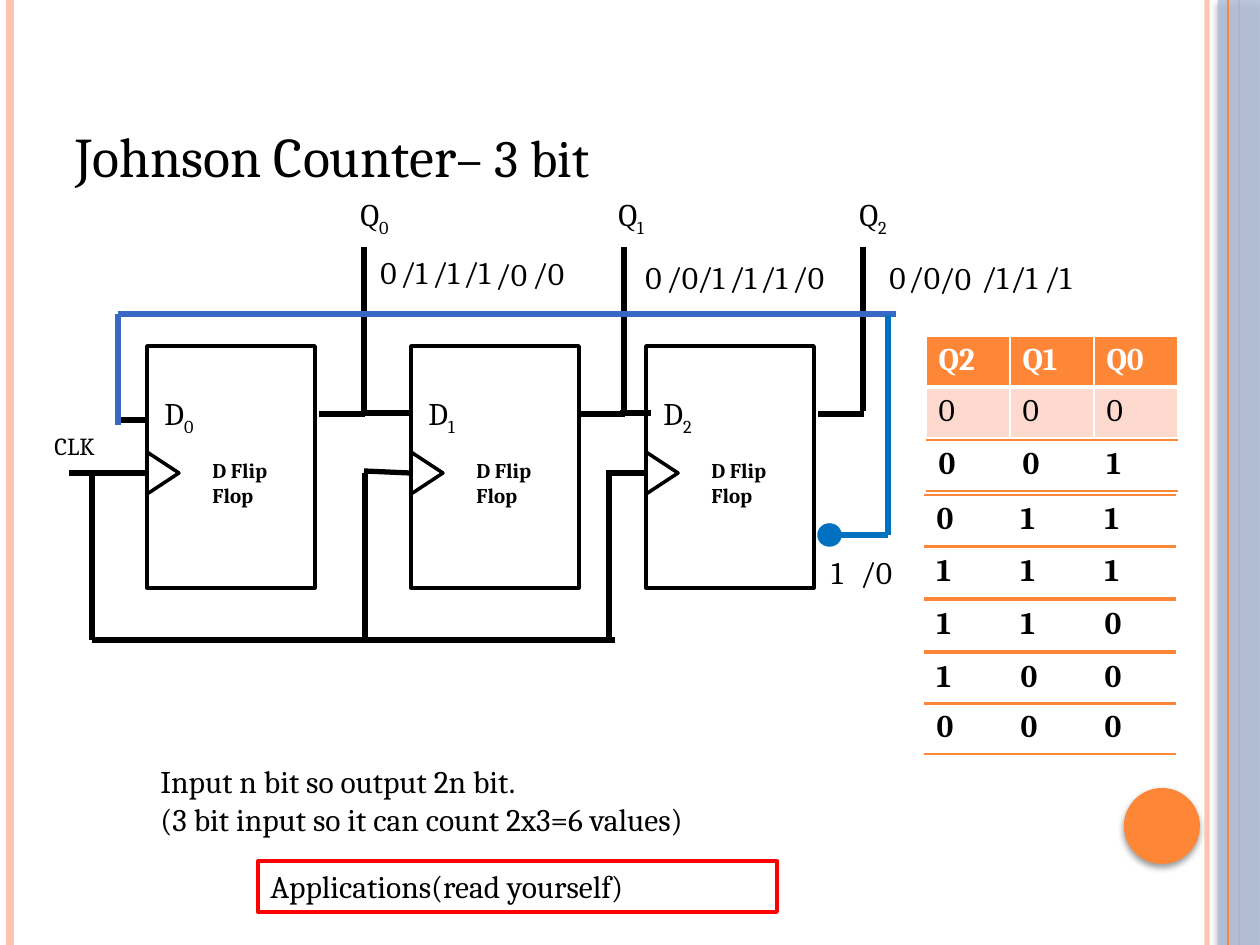
from lxml.etree import SubElement
from pptx import Presentation
from pptx.dml.color import RGBColor
from pptx.enum.shapes import MSO_CONNECTOR, MSO_SHAPE
from pptx.enum.text import MSO_ANCHOR, PP_ALIGN
from pptx.oxml.ns import qn
from pptx.util import Emu, Pt

EMU_PER_PX = 914400 / 126
FONT = "Cambria"
BLACK = RGBColor(0x00, 0x00, 0x00)
WHITE = RGBColor(0xFF, 0xFF, 0xFF)
ORANGE = RGBColor(0xFE, 0x86, 0x37)
PEACH = RGBColor(0xFE, 0xC3, 0xAE)
PALE_PEACH = RGBColor(0xFE, 0xD9, 0xCD)
SLATE = RGBColor(0xB3, 0xC1, 0xDB)
BLUE = RGBColor(0x00, 0x70, 0xC0)
FEEDBACK_BLUE = RGBColor(0x36, 0x68, 0xC4)
RED = RGBColor(0xFF, 0x00, 0x00)

FLIP_FLOP_LEFTS = (147, 411, 646)
OUTPUT_LEFTS = (348, 606, 847)

# Wires as x1, y1, x2, y2
BLACK_WIRES = (
    # Clock
    (69, 473, 147, 473), (92, 474, 92, 640), (92, 640, 365, 640),
    (357, 640, 615, 640), (365, 473, 365, 640), (364, 471, 410, 473),
    (609, 474, 609, 640), (606, 473, 646, 473),
    # Data inputs and outputs
    (118, 420, 146, 420), (319, 414, 365, 414), (363, 413, 394, 413),
    (379, 413, 411, 413), (577, 414, 625, 414), (620, 413, 651, 413),
    (818, 414, 864, 414),
    # Output taps
    (364, 247, 364, 411), (624, 247, 624, 411), (863, 247, 863, 411),
)

# Successive values as text, left, top
STATE_VALUES = (
    ("0", 368, 247), ("/1", 388, 247), ("/1", 420, 247),
    ("/1", 451, 247), ("/0", 483, 249), ("/0", 520, 248),
    ("0", 633, 252), ("/0", 654, 252), ("/1", 685, 252),
    ("/1", 717, 252), ("/1", 748, 252), ("/0", 780, 252),
    ("0", 877, 252), ("/0", 896, 252), ("/0", 927, 253),
    ("/1", 969, 252), ("/1", 998, 252), ("/1", 1032, 252),
    ("1", 819, 547), ("/0", 848, 547),
)

# Later counter states as left, top, bits
COUNTER_STATES = (
    (926, 440, "001"), (924, 495, "011"), (924, 547, "111"),
    (924, 600, "110"), (924, 653, "100"), (924, 703, "000"),
)


def px(length):
    return Emu(round(length * EMU_PER_PX))


def set_alpha(color_parent, percent):
    color = next(color_parent.iter(qn("a:srgbClr")))
    SubElement(color, qn("a:alpha"), val=str(percent * 1000))


def add_run(paragraph, text, size, color=BLACK, bold=False, subscript=False):
    run = paragraph.add_run()
    run.text = text
    run.font.name = FONT
    run.font.size = Pt(size)
    run.font.bold = bold
    run.font.color.rgb = color
    if subscript:
        run.font._element.set("baseline", "-25000")


def add_label(slide, box, *paragraphs, anchor=MSO_ANCHOR.TOP):
    """Each paragraph is a list of (text, size, run options)."""
    frame = slide.shapes.add_textbox(*map(px, box)).text_frame
    frame.word_wrap = True
    frame.vertical_anchor = anchor
    for index, runs in enumerate(paragraphs):
        paragraph = frame.add_paragraph() if index else frame.paragraphs[0]
        for text, size, options in runs:
            add_run(paragraph, text, size, **options)


def add_indexed(slide, box, letter, index):
    add_label(slide, box, [(letter, 18, {}), (str(index), 18, {"subscript": True})])


def add_wire(slide, ends, color=BLACK, width=3):
    wire = slide.shapes.add_connector(MSO_CONNECTOR.STRAIGHT, *map(px, ends))
    wire.line.color.rgb = color
    wire.line.width = Pt(width)
    SubElement(wire._element.spPr, qn("a:effectLst"))
    return wire


def add_figure(slide, kind, box, fill=None, line=None, width=2):
    figure = slide.shapes.add_shape(kind, *map(px, box))
    figure.shadow.inherit = False
    if fill is None:
        figure.fill.background()
    else:
        figure.fill.solid()
        figure.fill.fore_color.rgb = fill
    if line is None:
        figure.line.fill.background()
    else:
        figure.line.color.rgb = line
        figure.line.width = Pt(width)
    return figure


def add_shadow(figure):
    effects = figure._element.spPr.find(qn("a:effectLst"))
    shadow = SubElement(effects, qn("a:outerShdw"), blurRad=str(Pt(4)),
                        dist=str(Pt(2)), dir="5400000", rotWithShape="0")
    SubElement(shadow, qn("a:srgbClr"), val="000000")
    set_alpha(shadow, 40)


def set_borders(cell, borders):
    """Borders map a side (L, R, T, B) to colour and points."""
    properties = cell._tc.get_or_add_tcPr()
    for position, side in enumerate("LRTB"):
        color, width = borders.get(side, (None, 0))
        edge = SubElement(properties, qn(f"a:ln{side}"), w=str(Pt(width)))
        if color is None:
            SubElement(edge, qn("a:noFill"))
        else:
            fill = SubElement(edge, qn("a:solidFill"))
            SubElement(fill, qn("a:srgbClr"), val=str(color))
        properties.insert(position, edge)


def add_bit_table(slide, left, top, rows):
    """Each row is its texts, fill, font colour, bold and borders."""
    table = slide.shapes.add_table(len(rows), 3, px(left), px(top),
                                   px(252), px(51 * len(rows))).table
    table.first_row = table.horz_banding = False
    for r, (texts, fill, color, bold, borders) in enumerate(rows):
        for c, text in enumerate(texts):
            cell = table.cell(r, c)
            if fill is None:
                cell.fill.background()
            else:
                cell.fill.solid()
                cell.fill.fore_color.rgb = fill
            set_borders(cell, borders)
            add_run(cell.text_frame.paragraphs[0], text, 18, color, bold)


def add_frame(slide):
    rail = add_wire(slide, (1207, 0, 1207, 945), PEACH, 3)
    set_alpha(rail._element.spPr, 93)
    add_wire(slide, (10, 0, 10, 945), PEACH, 4.5)
    add_wire(slide, (1239, 0, 1239, 945), ORANGE, 1.5)
    band = add_figure(slide, MSO_SHAPE.RECTANGLE, (1218, 0, 42, 945), SLATE)
    set_alpha(band._element.spPr, 87)
    add_shadow(band)
    add_wire(slide, (1228, 0, 1228, 945), ORANGE, 0.75)
    add_shadow(add_figure(slide, MSO_SHAPE.OVAL, (1124, 788, 76, 76), ORANGE))


def add_flip_flop(slide, left, index):
    add_figure(slide, MSO_SHAPE.RECTANGLE, (left, 346, 168, 242), line=BLACK)
    clock_input = add_figure(slide, MSO_SHAPE.ISOSCELES_TRIANGLE,
                             (left - 5, 457, 42, 32), line=BLACK)
    clock_input.rotation = 90
    add_indexed(slide, (left + 5, 388, 79, 55), "D", index)
    add_label(slide, (left + 53, 451, 116, 63), [("D Flip Flop", 12, {"bold": True})])


def add_feedback(slide):
    add_wire(slide, (824, 535, 888, 535), BLUE)
    add_figure(slide, MSO_SHAPE.OVAL, (819, 525, 21, 20), BLUE, BLUE)
    add_wire(slide, (118, 314, 896, 314), FEEDBACK_BLUE)
    add_wire(slide, (118, 314, 118, 425), FEEDBACK_BLUE)
    add_wire(slide, (888, 315, 888, 535), BLUE)


def add_truth_table(slide):
    thin, thick = (WHITE, 0.96), (WHITE, 3)
    sides = {"L": thin, "R": thin}
    add_bit_table(slide, 926, 336, (
        (("Q2", "Q1", "Q0"), ORANGE, WHITE, True, {**sides, "T": thin, "B": thick}),
        ("000", PALE_PEACH, BLACK, False, {**sides, "T": thick, "B": thin}),
    ))
    rules = {"T": (ORANGE, 0.96), "B": (ORANGE, 0.96)}
    for left, top, bits in COUNTER_STATES:
        add_bit_table(slide, left, top, ((bits, None, BLACK, True, rules),))


def main():
    deck = Presentation()
    deck.slide_width, deck.slide_height = px(1260), px(945)
    slide = deck.slides.add_slide(deck.slide_layouts[6])
    add_frame(slide)
    add_label(slide, (63, 38, 1029, 157),
              [("Johnson Counter", 32, {}), ("– 3 bit", 30, {})],
              anchor=MSO_ANCHOR.BOTTOM)

    # Circuit
    for index, (left, output_left) in enumerate(zip(FLIP_FLOP_LEFTS, OUTPUT_LEFTS)):
        add_flip_flop(slide, left, index)
        add_indexed(slide, (output_left, 189, 78, 55), "Q", index)
    for ends in BLACK_WIRES:
        add_wire(slide, ends)
    add_feedback(slide)
    add_label(slide, (42, 425, 96, 42), [("CLK", 14, {})])

    # Counter states
    for text, left, top in STATE_VALUES:
        width = 60 if text.startswith("/") else 47
        add_label(slide, (left, top, width, 51), [(text, 18, {})])
    add_truth_table(slide)

    # Notes below the circuit
    add_label(slide, (148, 756, 660, 88),
              [("Input n bit so output 2n bit.", 18, {})],
              [("(3 bit input so it can count 2x3=6 values)", 18, {})])
    applications = add_figure(slide, MSO_SHAPE.RECTANGLE, (258, 861, 519, 51),
                              line=RED, width=2.25)
    applications.text_frame.vertical_anchor = MSO_ANCHOR.TOP
    paragraph = applications.text_frame.paragraphs[0]
    paragraph.alignment = PP_ALIGN.LEFT
    add_run(paragraph, "Applications(read yourself)", 18)

    deck.save("out.pptx")


if __name__ == "__main__":
    main()
